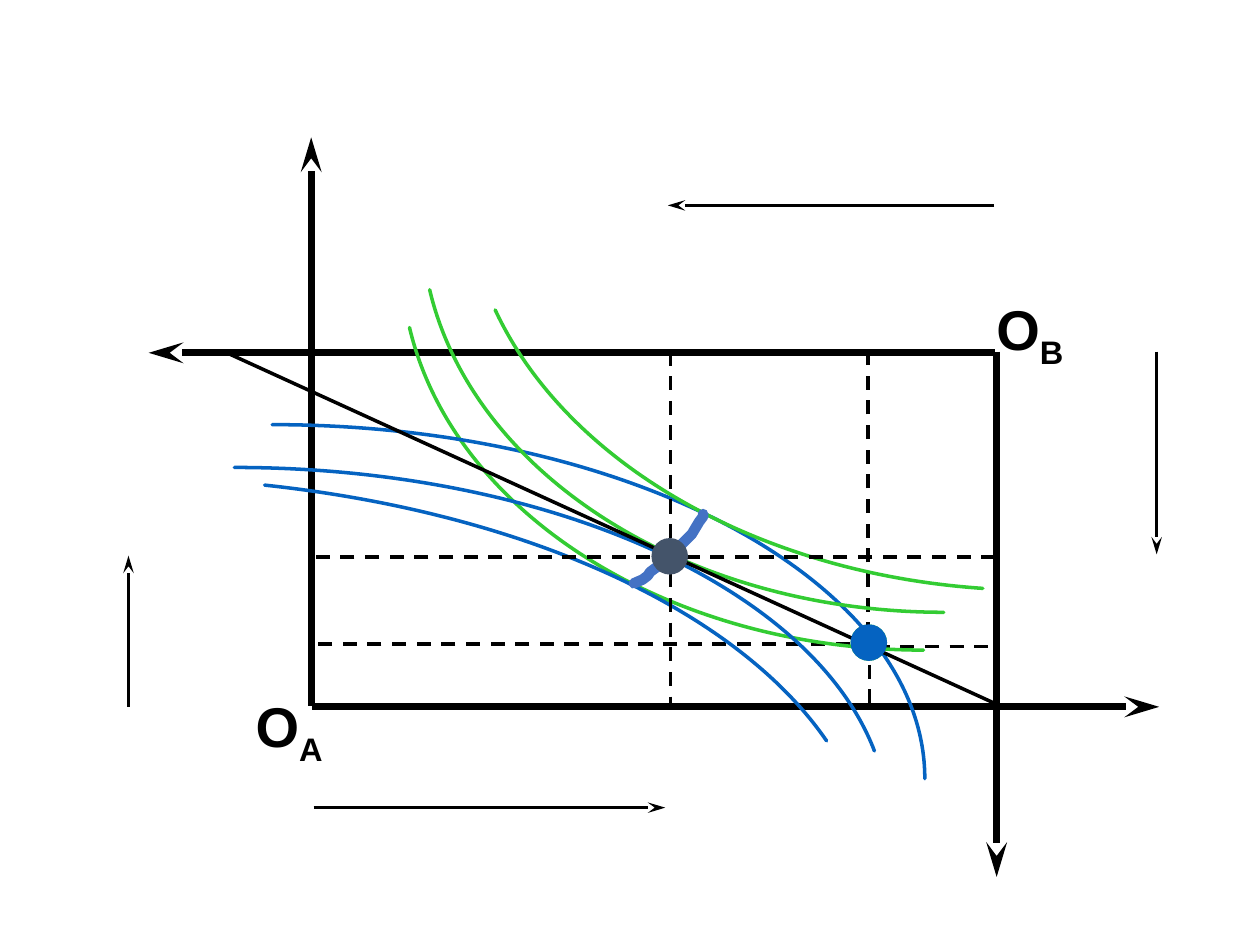
from dataclasses import dataclass
from typing import Union

from lxml.etree import SubElement as Sub
from pptx import Presentation
from pptx.dml.color import RGBColor
from pptx.enum.dml import MSO_LINE as Dash
from pptx.enum.shapes import MSO_CONNECTOR as Link, MSO_SHAPE as Form
from pptx.enum.text import MSO_AUTO_SIZE as Fit
from pptx.oxml.ns import qn
from pptx.util import Emu, Inches, Pt

# The slide is a grid of 100 columns and 75 rows of square cells.
COLS, ROWS = 100, 75
WIDE, HIGH = Inches(10), Inches(7.5)
BLACK, BLUE, GREEN, SLATE, PATH = "000000", "0563C1", "33CC33", "44546A", "4472C4"
DOT = 2.9

Point = tuple[float, float]


@dataclass
class Line:
    start: Point
    end: Point
    width: float = 2
    arrow: bool = False
    dash: bool = False


@dataclass
class Curve:
    """Cubic arc from start to end, bent by two pulls; hub is its centre."""
    start: Point
    pulls: tuple[Point, Point]
    end: Point
    hub: Point
    color: str


@dataclass
class Trail:
    points: list[Point]
    color: str
    width: float


@dataclass
class Dot:
    left: float
    top: float
    color: str


@dataclass
class Label:
    left: float
    top: float
    sub: str


Item = Union[Line, Curve, Trail, Dot, Label]


def axis(start: Point, end: Point) -> Line:
    return Line(start, end, width=4, arrow=True)


def arrow(start: Point, end: Point) -> Line:
    return Line(start, end, arrow=True)


def guide(start: Point, end: Point) -> Line:
    return Line(start, end, dash=True)


ITEMS: list[Item] = [
    axis((24.7, 56), (24.7, 10.9)),
    axis((24.8, 56.1), (92, 56.1)),
    guide((69, 50.8), (69, 56)),
    guide((69.4, 51.1), (24.7, 51.1)),
    Dot(67.5, 49.55, GREEN),
    Label(19.3, 54.4, "A"),
    axis((79.1, 27.9), (79.1, 69.6)),
    axis((79, 28), (11.8, 28)),
    Label(78.1, 22.9, "B"),
    guide((68.9, 50.5), (68.9, 28.2)),
    guide((69.5, 51.3), (79, 51.3)),
    Curve((73.3, 51.6), ((53.2, 51.6), (36, 40.8)), (32.5, 26), (73.3, 20.6), GREEN),
    Curve((21.6, 33.7), ((50.2, 33.7), (73.4, 46.3)), (73.4, 61.8), (21.6, 61.8), BLUE),
    Curve((21, 38.5), ((41.5, 40.7), (58.4, 48.3)), (65.6, 58.8), (9.4, 69.7), BLUE),
    Curve((78, 46.7), ((60.2, 45.5), (45, 36.8)), (39.3, 24.6), (82.2, 14.3), GREEN),
    Trail([(50.3, 46.3), (51, 46), (51.4, 45.7), (51.6, 45.4), (52, 45.1),
           (52.5, 44.8), (52.8, 44.4), (53.3, 44), (53.6, 43.6), (54.1, 43.2),
           (54.4, 42.9), (54.9, 42.4), (55.2, 41.9), (55.5, 41.4),
           (55.8, 41), (55.8, 40.8)], PATH, 6),
    Curve((18.6, 37.1), ((43.2, 37.1), (64.4, 46.5)), (69.4, 59.6), (18.6, 65.3), BLUE),
    Curve((74.9, 48.6), ((54.8, 48.6), (37.6, 37.8)), (34.1, 23), (74.9, 17.6), GREEN),
    Line((78.9, 55.8), (18, 28)),
    Dot(67.5, 49.55, BLUE),
    guide((53.2, 27.9), (53.2, 56)),
    guide((79, 44.2), (24.8, 44.2)),
    arrow((10.2, 56.1), (10.2, 44.1)),
    arrow((24.9, 64.1), (52.8, 64.1)),
    Dot(51.7, 42.7, SLATE),
    arrow((78.9, 16.3), (53, 16.3)),
    arrow((91.8, 27.9), (91.8, 44)),
]


def col(n: float) -> Emu:
    return Emu(round(WIDE * n / COLS))


def row(n: float) -> Emu:
    return Emu(round(HIGH * n / ROWS))


def spot(point: Point) -> tuple[Emu, Emu]:
    return col(point[0]), row(point[1])


def paint(target, color: str) -> None:
    target.solid()
    target.fore_color.rgb = RGBColor.from_string(color)


def draw_line(shapes, item: Line) -> None:
    link = shapes.add_connector(Link.STRAIGHT, *spot(item.start), *spot(item.end))
    paint(link.line.fill, BLACK)
    link.line.width = Pt(item.width)
    if item.dash:
        link.line.dash_style = Dash.DASH
    props = link._element.spPr
    if item.arrow:
        Sub(props.get_or_add_ln(), qn("a:tailEnd"), type="stealth", w="med", len="lg")
    Sub(props, qn("a:effectLst"))


def draw_trail(shapes, item: Trail):
    first, *rest = map(spot, item.points)
    pen = shapes.build_freeform(*first)
    pen.add_line_segments(rest, close=False)
    shape = pen.convert_to_shape()
    shape.shadow.inherit = False
    shape.fill.background()
    paint(shape.line.fill, item.color)
    shape.line.width = Pt(item.width)
    ln = shape._element.spPr.get_or_add_ln()
    ln.set("cap", "rnd")
    Sub(ln, qn("a:round"))
    return shape


def draw_curve(shapes, item: Curve) -> None:
    """Outline start, end and hub to size the frame, then bend the one arc."""
    shape = draw_trail(shapes, Trail([item.start, item.end, item.hub], item.color, 2))
    outline = shape._element.find(".//" + qn("a:path"))
    for side in outline.findall(qn("a:lnTo")):
        outline.remove(side)
    bend = Sub(outline, qn("a:cubicBezTo"))
    for point in (*item.pulls, item.end):
        x, y = spot(point)
        Sub(bend, qn("a:pt"), x=str(x - shape.left), y=str(y - shape.top))


def draw_dot(shapes, item: Dot) -> None:
    shape = shapes.add_shape(Form.OVAL, col(item.left), row(item.top), col(DOT), row(DOT))
    shape.shadow.inherit = False
    paint(shape.fill, item.color)
    shape.line.fill.background()


def draw_label(shapes, item: Label) -> None:
    box = shapes.add_textbox(col(item.left), row(item.top), col(7.6), row(6.3))
    frame = box.text_frame
    frame.word_wrap = False
    frame.auto_size = Fit.SHAPE_TO_FIT_TEXT
    for text, base in (("O", 0), (item.sub, -25000)):
        run = frame.paragraphs[0].add_run()
        run.text = text
        run.font.name, run.font.size, run.font.bold = "Arial", Pt(32), True
        paint(run.font.fill, BLACK)
        if base:
            run._r.get_or_add_rPr().set("baseline", str(base))


DRAW = {Line: draw_line, Curve: draw_curve, Trail: draw_trail,
        Dot: draw_dot, Label: draw_label}


def main() -> None:
    deck = Presentation()
    deck.slide_width, deck.slide_height = WIDE, HIGH
    slide = deck.slides.add_slide(deck.slide_layouts[6])
    for item in ITEMS:
        DRAW[type(item)](slide.shapes, item)
    deck.save("out.pptx")


if __name__ == "__main__":
    main()
